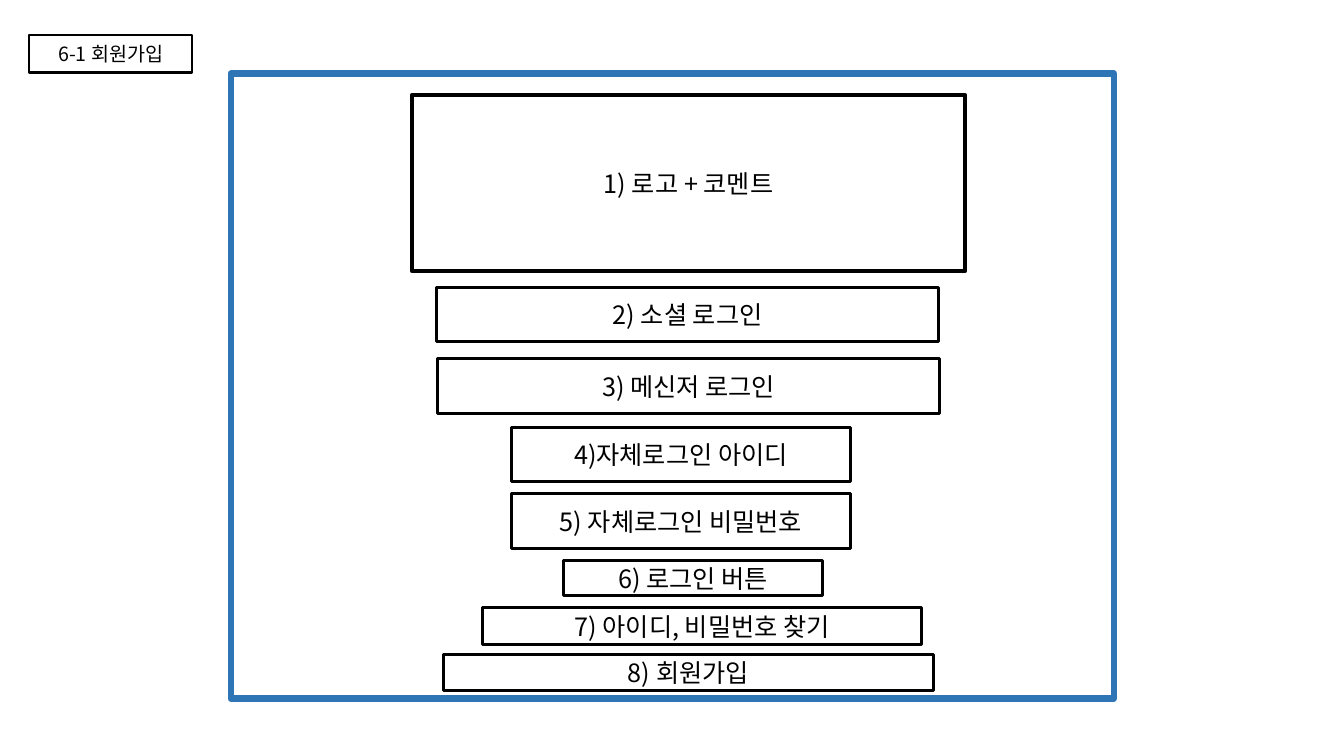
from dataclasses import dataclass

from lxml import etree
from pptx import Presentation
from pptx.dml.color import RGBColor
from pptx.enum.shapes import MSO_SHAPE
from pptx.enum.text import MSO_ANCHOR, MSO_AUTO_SIZE, PP_ALIGN
from pptx.oxml.ns import qn
from pptx.util import Pt

RECT = MSO_SHAPE.RECTANGLE
MIDDLE = MSO_ANCHOR.MIDDLE
CENTER = PP_ALIGN.CENTER
NO_FIT = MSO_AUTO_SIZE.NONE
TITLE_ONLY = 5


@dataclass(frozen=True)
class Theme:
    font: str = "Noto Sans CJK KR"
    ink: RGBColor = RGBColor(0x00, 0x00, 0x00)
    paper: RGBColor = RGBColor(0xFF, 0xFF, 0xFF)
    accent: RGBColor = RGBColor(0x2E, 0x75, 0xB6)
    title_size: float = 14
    body_size: float = 18


THEME = Theme()
TITLE_BOX = (20.9, 25.2, 116.6, 26.6)
FORM_BOX = (164.9, 52.6, 630.7, 446.4)
FIELDS = [
    ("1) 로고 + 코멘트", 129.6, 15.1, 394.6, 126, 3),
    ("2) 소셜 로그인", 146.9, 152.6, 358.6, 38.9, 2.25),
    ("3) 메신저 로그인", 147.6, 203.8, 358.6, 38.9, 2.25),
    ("4)자체로그인 아이디", 200.2, 252.7, 242.6, 38.9, 2.25),
    ("5) 자체로그인 비밀번호", 200.2, 300.2, 242.6, 38.9, 2.25),
    ("6) 로그인 버튼", 237.6, 347.8, 185, 25.2, 2.25),
    ("7) 아이디, 비밀번호 찾기", 180, 381.6, 313.2, 25.9, 2.25),
    ("8) 회원가입", 151.9, 414.7, 349.9, 25.9, 2.25),
]


def write(sp, text, size=THEME.body_size, color=THEME.ink, align=CENTER):
    tf = sp.text_frame
    tf.auto_size = NO_FIT
    tf.word_wrap = True
    tf.vertical_anchor = MIDDLE
    p = tf.paragraphs[0]
    p.alignment = align
    r = p.add_run()
    r.text = text
    r.font.size = Pt(size)
    r.font.color.rgb = color
    r.font.name = THEME.font
    ea = etree.SubElement(r.font._element, qn("a:ea"))
    ea.set("typeface", THEME.font)


def outline(sp, color, width):
    sp.fill.solid()
    sp.fill.fore_color.rgb = THEME.paper
    sp.line.color.rgb = color
    sp.line.width = Pt(width)


def add_box(s, x, y, w, h, color, width):
    sp = s.shapes.add_shape(RECT, Pt(x), Pt(y), Pt(w), Pt(h))
    sp.shadow.inherit = False
    outline(sp, color, width)
    return sp


def place_title(s, box, text):
    sp = s.shapes.title
    sp.left, sp.top, sp.width, sp.height = (Pt(v) for v in box)
    outline(sp, THEME.ink, 1.5)
    write(sp, text, size=THEME.title_size)


def draw_form(s, box, fields):
    left, top, w, h = box
    add_box(s, left, top, w, h, THEME.accent, 4.5)
    for text, dx, dy, fw, fh, width in fields:
        sp = add_box(s, left + dx, top + dy, fw, fh, THEME.ink, width)
        write(sp, text)


def main():
    prs = Presentation()
    prs.slide_width, prs.slide_height = Pt(960), Pt(540)
    s = prs.slides.add_slide(prs.slide_layouts[TITLE_ONLY])
    place_title(s, TITLE_BOX, "6-1 회원가입")
    draw_form(s, FORM_BOX, FIELDS)
    prs.save("out.pptx")


if __name__ == "__main__":
    main()
